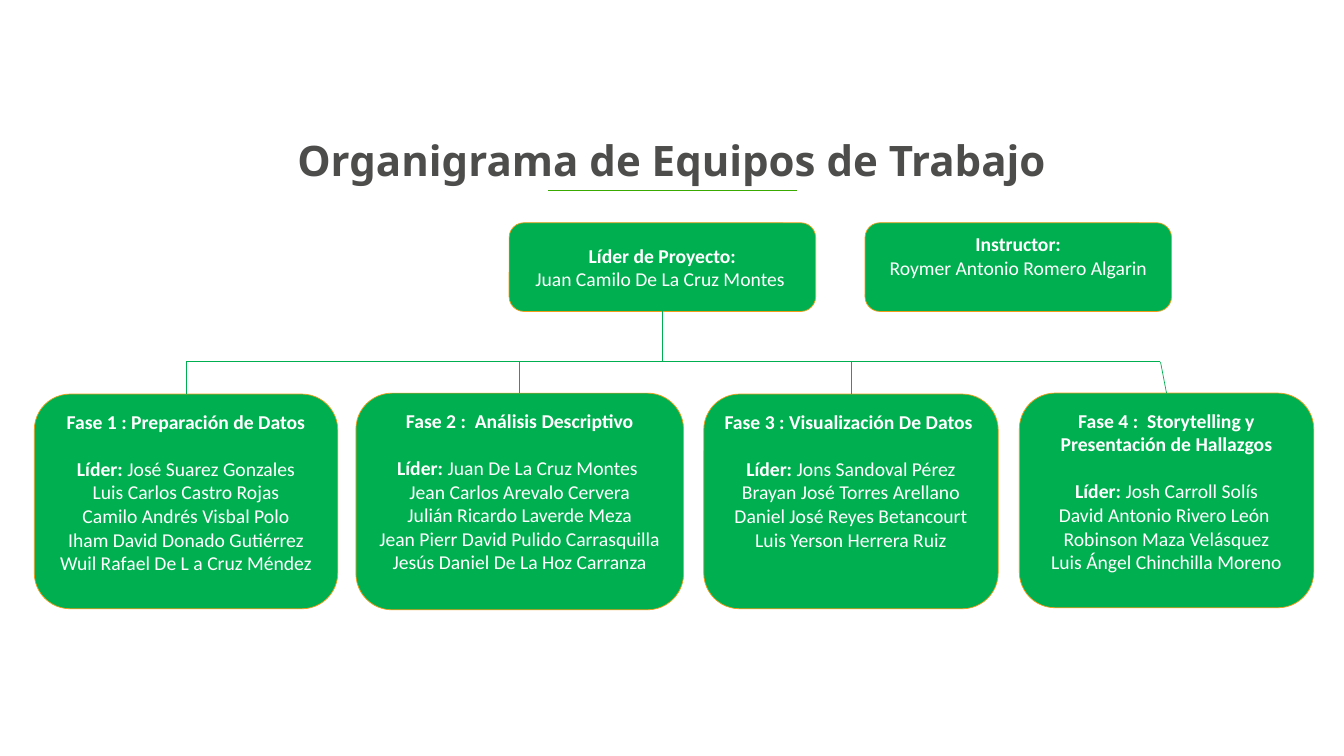
"""Build the organisation chart of the project teams."""
import pptx
import pptx.util
import pptx.dml.color
import pptx.enum.shapes
import pptx.enum.text
import pptx.oxml

Inches, Pt = pptx.util.Inches, pptx.util.Pt
RGBColor = pptx.dml.color.RGBColor
ANCHOR = pptx.enum.text.MSO_ANCHOR

GREEN = RGBColor(0x00, 0xB0, 0x50)
RULE_GREEN = RGBColor(0x38, 0xAA, 0x00)
ORANGE = RGBColor(0xF1, 0x9D, 0x19)
WHITE = RGBColor(0xFF, 0xFF, 0xFF)
GRAY = RGBColor(0x4D, 0x4D, 0x4C)

TITLE = "Organigrama de Equipos de Trabajo"
PROJECT_LEADER = ("Líder de Proyecto:", "Juan Camilo De La Cruz Montes ")
INSTRUCTOR = ("Instructor:", "Roymer Antonio Romero Algarin")
PHASES = [
    {"box": (0.34, 3.91, 3.01, 2.13), "heading": "Fase 1 : Preparación de Datos",
     "leader": "José Suarez Gonzales",
     "members": ["Luis Carlos Castro Rojas", "Camilo Andrés Visbal Polo",
                 "Iham David Donado Gutiérrez", "Wuil Rafael De L a Cruz Méndez"]},
    {"box": (3.53, 3.9, 3.25, 2.15), "heading": "Fase 2 :  Análisis Descriptivo",
     "leader": "Juan De La Cruz Montes ",
     "members": ["Jean Carlos Arevalo Cervera", "Julián Ricardo Laverde Meza",
                 "Jean Pierr David Pulido Carrasquilla", "Jesús Daniel De La Hoz Carranza"]},
    {"box": (6.98, 3.91, 2.92, 2.13), "heading": "Fase 3 : Visualización De Datos ",
     "leader": "Jons Sandoval Pérez",
     "members": ["Brayan José Torres Arellano", "Daniel José Reyes Betancourt",
                 "Luis Yerson Herrera Ruiz"]},
    {"box": (10.11, 3.9, 2.92, 2.13),
     "heading": "Fase 4 :  Storytelling y Presentación de Hallazgos",
     "leader": "Josh Carroll Solís",
     "members": ["David Antonio Rivero León ", "Robinson Maza Velásquez",
                 "Luis Ángel Chinchilla Moreno"]},
]
TOP_ROW_Y, TOP_WIDTH, TOP_HEIGHT = 2.21, 3.04, 0.88
LEADER_X, INSTRUCTOR_X = 5.05, 8.58
BUS_Y, BUS_RIGHT = 3.59, 11.51

deck = pptx.Presentation()
deck.slide_width, deck.slide_height = Inches(13.33), Inches(7.5)
slide = deck.slides.add_slide(deck.slide_layouts[6])


def write(holder, paragraphs, font="Calibri", size=14, color=WHITE,
          anchor=ANCHOR.MIDDLE, heading_gap=0):
    """Fill a shape with centred paragraphs given as lists of (text, bold) runs."""
    frame = holder.text_frame
    frame.word_wrap = True
    frame.vertical_anchor = anchor
    for index, runs in enumerate(paragraphs):
        paragraph = frame.paragraphs[0] if index == 0 else frame.add_paragraph()
        paragraph.alignment = pptx.enum.text.PP_ALIGN.CENTER
        if index == 0:
            paragraph.space_after = Pt(heading_gap)
        for text, bold in runs:
            run = paragraph.add_run()
            run.text = text
            run.font.name, run.font.size, run.font.bold = font, Pt(size), bold
            run.font.color.rgb = color


def add_box(left, top, width, height, paragraphs, **text_format):
    """Add a green rounded box with its text."""
    box = slide.shapes.add_shape(pptx.enum.shapes.MSO_SHAPE.ROUNDED_RECTANGLE,
                                 *map(Inches, (left, top, width, height)))
    box.shadow.inherit = False
    box.fill.solid()
    box.fill.fore_color.rgb = GREEN
    box.line.color.rgb = ORANGE
    box.line.width = Pt(0.5)
    write(box, paragraphs, **text_format)
    return box


def add_line(start, end, color=GREEN, width=0.5):
    """Add a straight line between two points in inches."""
    line = slide.shapes.add_connector(pptx.enum.shapes.MSO_CONNECTOR.STRAIGHT,
                                      *map(Inches, start + end))
    line.line.color.rgb = color
    line.line.width = Pt(width)
    line._element.spPr.append(pptx.oxml.parse_xml(
        '<a:effectLst xmlns:a="http://schemas.openxmlformats.org/drawingml/2006/main"/>'))
    return line


title = slide.shapes.add_textbox(*map(Inches, (2.44, 1.28, 8.44, 0.61)))
write(title, [[(TITLE, True)]], font="Noto Sans", size=30, color=GRAY)
add_line((5.44, 1.89), (7.9, 1.89), color=RULE_GREEN, width=1)

top_boxes = []
for left, (role, person), anchor in [(LEADER_X, PROJECT_LEADER, ANCHOR.MIDDLE),
                                     (INSTRUCTOR_X, INSTRUCTOR, ANCHOR.TOP)]:
    top_boxes.append(add_box(left, TOP_ROW_Y, TOP_WIDTH, TOP_HEIGHT,
                             [[(role, True)], [(person, False)]], anchor=anchor))

trunk_x = LEADER_X + TOP_WIDTH / 2
trunk = add_line((trunk_x, TOP_ROW_Y + TOP_HEIGHT), (trunk_x, BUS_Y))
trunk.begin_connect(top_boxes[0], 2)

first_left, _, first_width, _ = PHASES[0]["box"]
add_line((first_left + first_width / 2, BUS_Y), (BUS_RIGHT, BUS_Y))

for phase in PHASES:
    left, top, width, height = phase["box"]
    team = [[(phase["heading"], True)], [("Líder: ", True), (phase["leader"], False)]]
    team += [[(member, False)] for member in phase["members"]]
    phase_box = add_box(left, top, width, height, team, anchor=ANCHOR.TOP, heading_gap=17)
    center = left + width / 2
    drop = add_line((min(center, BUS_RIGHT), BUS_Y), (center, top))
    drop.end_connect(phase_box, 0)

deck.save("out.pptx")
